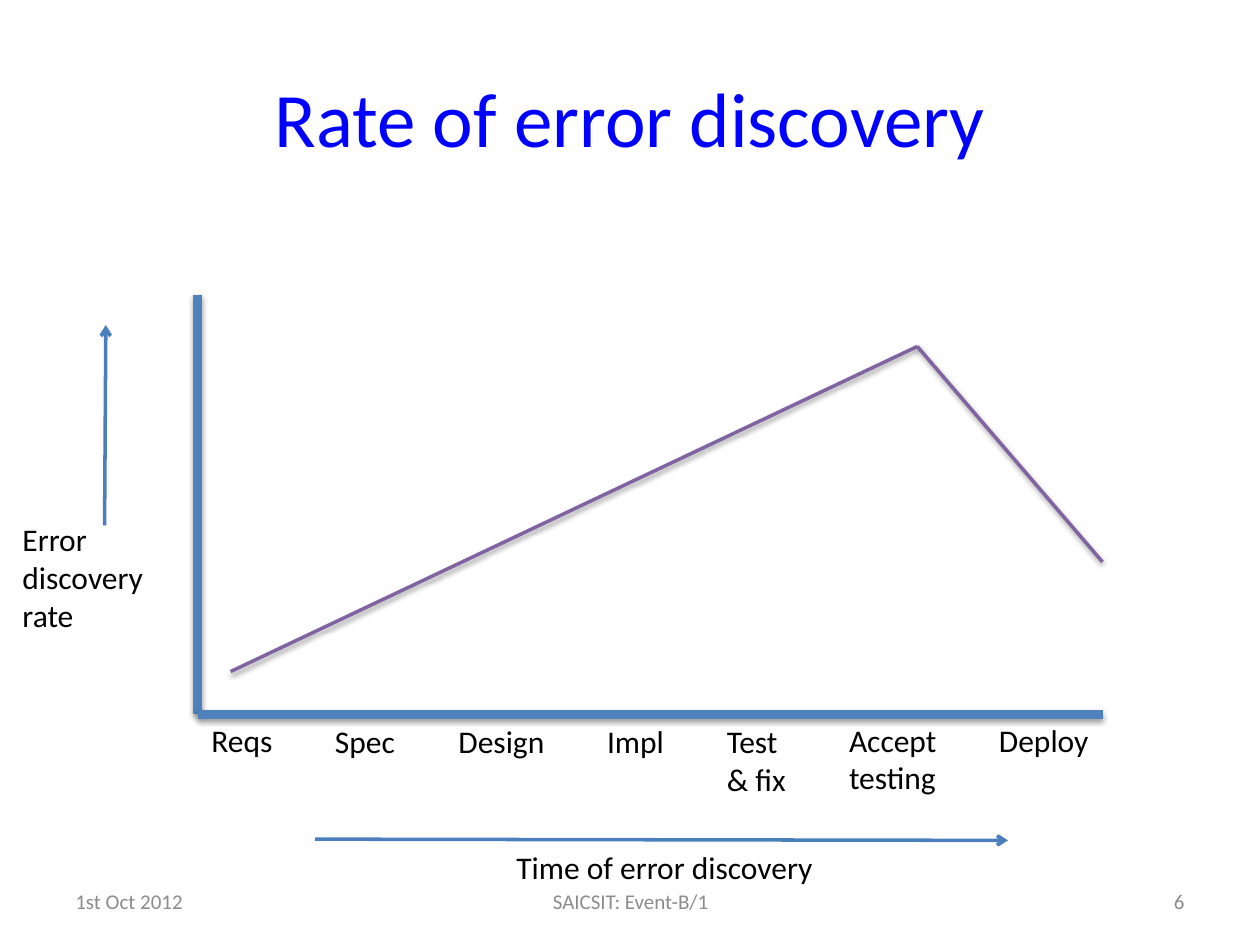
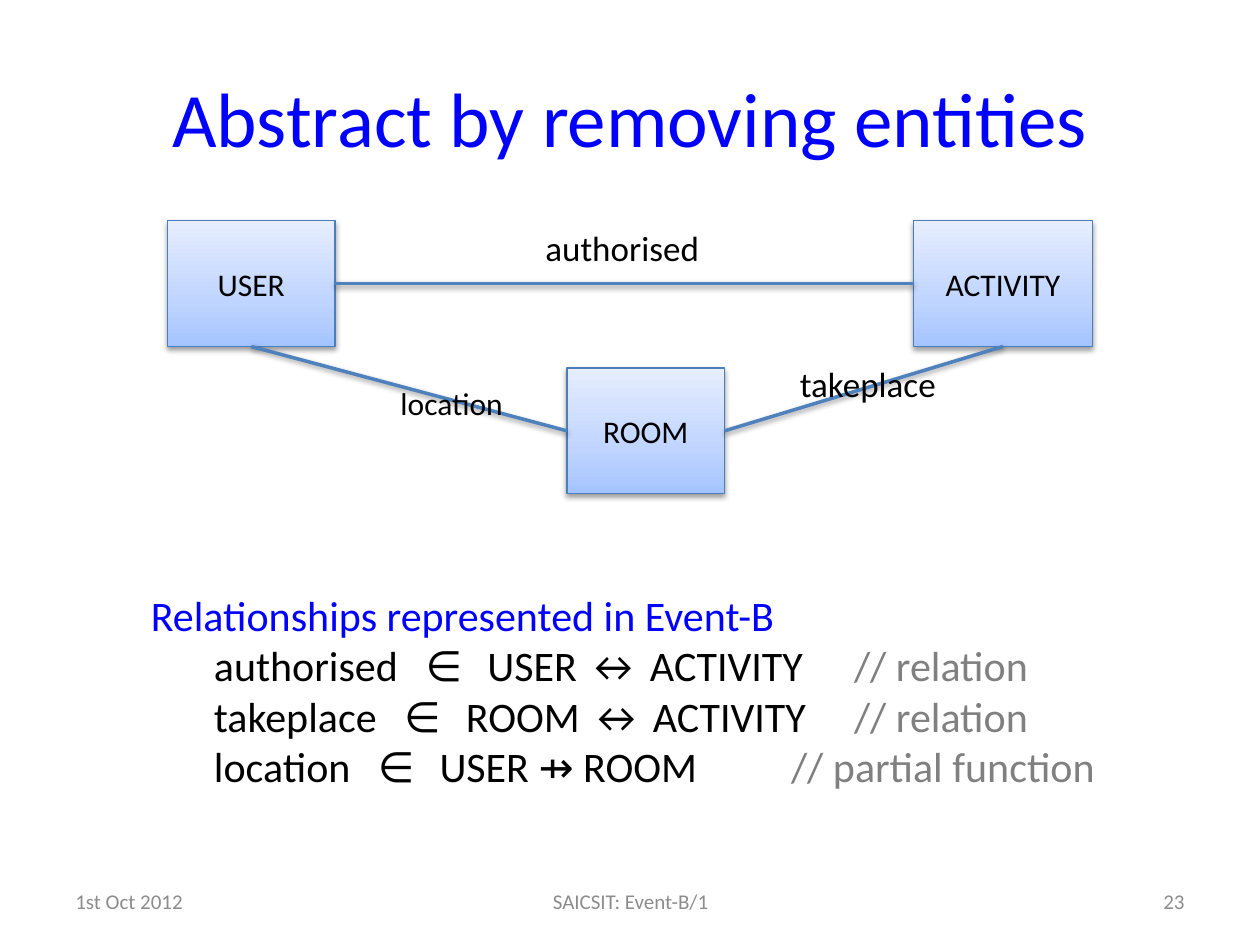
from copy import deepcopy

from lxml import etree
from pptx import Presentation
from pptx import util as u
from pptx.dml.color import RGBColor
from pptx.enum import shapes, text
from pptx.oxml import ns

PX = 9144  # EMU in one px, 100 px to the inch
FONT = "Calibri"
BLUE = RGBColor(0x00, 0x00, 0xFF)
BLACK = RGBColor(0x00, 0x00, 0x00)
GREY = RGBColor(0x80, 0x80, 0x80)
FOOTER_GREY = RGBColor(0x8C, 0x8C, 0x8C)
AXIS = RGBColor(0x4F, 0x81, 0xBD)
EDGE = RGBColor(0x4B, 0x7E, 0xBC)
CURVE = RGBColor(0x80, 0x64, 0xA2)
BOX_STOPS = [
    (0, RGBColor(0xA4, 0xC4, 0xFF)),
    (0.35, RGBColor(0xBF, 0xD4, 0xFF)),
    (1, RGBColor(0xE6, 0xEE, 0xFF)),
]
LEFT, CENTER, RIGHT = text.PP_ALIGN.LEFT, text.PP_ALIGN.CENTER, text.PP_ALIGN.RIGHT
TOP_SIDE, LEFT_SIDE, BOTTOM_SIDE, RIGHT_SIDE = range(4)


def px(*lengths):
    return [u.Emu(length * PX) for length in lengths]


def add_xml(parent, tag, **attributes):
    values = {name: str(value) for name, value in attributes.items()}
    return etree.SubElement(parent, ns.qn(tag), values)


def set_effects(shape, shadow):
    """Give the shape a soft shadow below it, or none at all."""
    effects = add_xml(shape._element.spPr, "a:effectLst")
    if shadow:
        outer = add_xml(effects, "a:outerShdw", blurRad=40000, dist=20000,
                        dir=5400000, rotWithShape=0)
        colour = add_xml(outer, "a:srgbClr", val="000000")
        add_xml(colour, "a:alpha", val=38000)


class Deck:
    def __init__(self):
        self.presentation = Presentation()
        self.presentation.slide_width, self.presentation.slide_height = px(1000, 750)
        self.slide = None

    def add_slide(self, title, number):
        self.slide = self.presentation.slides.add_slide(self.presentation.slide_layouts[6])
        self.text(title, 50, 30, 900, 125, 44, BLUE, CENTER, middle=True)
        for words, left, width, align in (
            ("1st Oct 2012", 50, 233, LEFT),
            ("SAICSIT: Event-B/1", 342, 317, CENTER),
            (str(number), 717, 233, RIGHT),
        ):
            self.text(words, left, 695, width, 40, 12, FOOTER_GREY, align, middle=True)

    def style(self, paragraph, size, colour, align=LEFT):
        paragraph.alignment = align
        font = paragraph.font
        font.name, font.size = FONT, u.Pt(size)
        font.color.rgb = colour

    def text(self, words, left, top, width, height, size, colour=BLACK,
             align=LEFT, middle=False):
        frame = self.slide.shapes.add_textbox(*px(left, top, width, height)).text_frame
        frame.word_wrap = middle
        if middle:
            frame.vertical_anchor = text.MSO_ANCHOR.MIDDLE
        frame.text = words
        for paragraph in frame.paragraphs:
            self.style(paragraph, size, colour, align)
        return frame

    def label(self, words, left, top, width, size=18):
        height = 10 + 30 * len(words.split("\n"))
        self.text(words, left, top, width, height, size)

    def box(self, words, left, top, width, height):
        shape = self.slide.shapes.add_shape(
            shapes.MSO_SHAPE.RECTANGLE, *px(left, top, width, height))
        shape.fill.gradient()
        shape.fill.gradient_angle = 90
        stops = shape._element.spPr.find(".//" + ns.qn("a:gsLst"))
        stops.insert(1, deepcopy(stops[0]))
        for stop, (position, colour) in zip(shape.fill.gradient_stops, BOX_STOPS):
            stop.position = position
            stop.color.rgb = colour
        shape.line.color.rgb = EDGE
        shape.line.width = u.Pt(0.75)
        set_effects(shape, shadow=True)
        shape.text_frame.text = words
        shape.text_frame.vertical_anchor = text.MSO_ANCHOR.MIDDLE
        self.style(shape.text_frame.paragraphs[0], 18, BLACK, CENTER)
        return shape

    def line(self, start, end, colour, width=2, arrow=False):
        connector = self.slide.shapes.add_connector(
            shapes.MSO_CONNECTOR.STRAIGHT, *px(*start, *end))
        connector.line.color.rgb = colour
        connector.line.width = u.Pt(width)
        if arrow:
            add_xml(connector.line._get_or_add_ln(), "a:tailEnd", type="arrow")
        set_effects(connector, shadow=not arrow)
        return connector

    def join(self, first, first_side, second, second_side):
        connector = self.line((0, 0), (0, 0), AXIS)
        connector.begin_connect(first, first_side)
        connector.end_connect(second, second_side)

    def relation(self, frame, name, sets, comment, member_at, comment_at):
        """Add a row: name, membership sign, sets and a grey comment."""
        paragraph = frame.add_paragraph()
        tabs = add_xml(paragraph._p.get_or_add_pPr(), "a:tabLst")
        for position in (50, member_at, member_at + 49, comment_at):
            add_xml(tabs, "a:tab", pos=position * PX, algn="l")
        self.style(paragraph, 24, BLACK)
        paragraph.add_run().text = f"\t{name}\t∈\t{sets}\t"
        remark = paragraph.add_run()
        remark.text = f"// {comment}"
        remark.font.color.rgb = GREY


def error_discovery(deck):
    deck.add_slide("Rate of error discovery", 6)

    # Axes and their labels
    origin = (157, 567)
    for end in ((157, 234), (875, 567)):
        deck.line(end, origin, AXIS, 5)
    for phase, left, top, width in (
        ("Reqs", 158, 567, 69),
        ("Spec", 256, 568, 68),
        ("Design", 354, 568, 89),
        ("Impl", 472, 568, 66),
        ("Test\n& fix", 567, 568, 68),
        ("Accept\ntesting", 664, 567, 90),
        ("Deploy", 783, 567, 92),
    ):
        deck.label(phase, left, top, width)
    deck.line((83, 417), (84, 258), EDGE, arrow=True)
    deck.label("Error\ndiscovery\nrate", 8, 408, 117)
    deck.line((250, 666), (800, 667), EDGE, arrow=True)
    deck.label("Time of error discovery", 400, 668, 258)

    # Discovery rate, rising to its peak and falling
    peak = (728, 275)
    deck.line((183, 533), peak, CURVE)
    deck.line(peak, (875, 446), CURVE)


def removing_entities(deck):
    deck.add_slide("Abstract by removing entities", 23)

    # Entities and relationships
    user = deck.box("USER", 133, 175, 133, 100)
    activity = deck.box("ACTIVITY", 725, 175, 142, 100)
    room = deck.box("ROOM", 450, 292, 125, 100)
    deck.join(user, BOTTOM_SIDE, room, LEFT_SIDE)
    deck.join(user, RIGHT_SIDE, activity, LEFT_SIDE)
    deck.join(activity, BOTTOM_SIDE, room, RIGHT_SIDE)
    deck.label("authorised", 423, 175, 143, 20)
    deck.label("takeplace", 625, 283, 129, 20)
    deck.label("location", 308, 300, 102)

    # Event-B notation
    frame = deck.text("Relationships represented in Event-B", 110, 463, 800, 172, 24, BLUE)
    frame.word_wrap = True
    deck.relation(frame, "authorised", "USER ↔ ACTIVITY", "relation", 218, 558)
    deck.relation(frame, "takeplace", "ROOM ↔ ACTIVITY", "relation", 201, 558)
    deck.relation(frame, "location", "USER ⇸ ROOM", "partial function", 180, 508)


def main():
    deck = Deck()
    error_discovery(deck)
    removing_entities(deck)
    deck.presentation.save("out.pptx")


if __name__ == "__main__":
    main()
